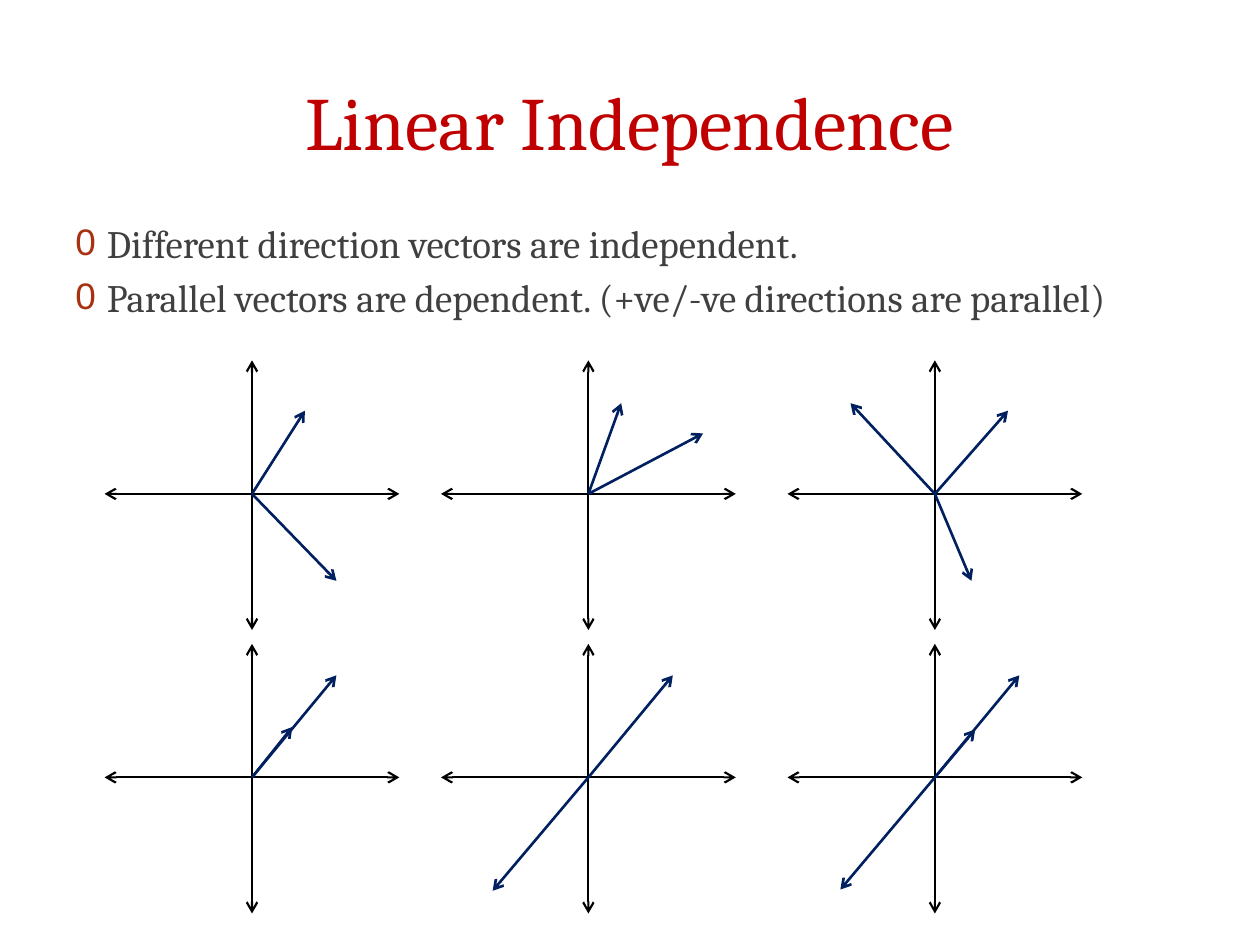
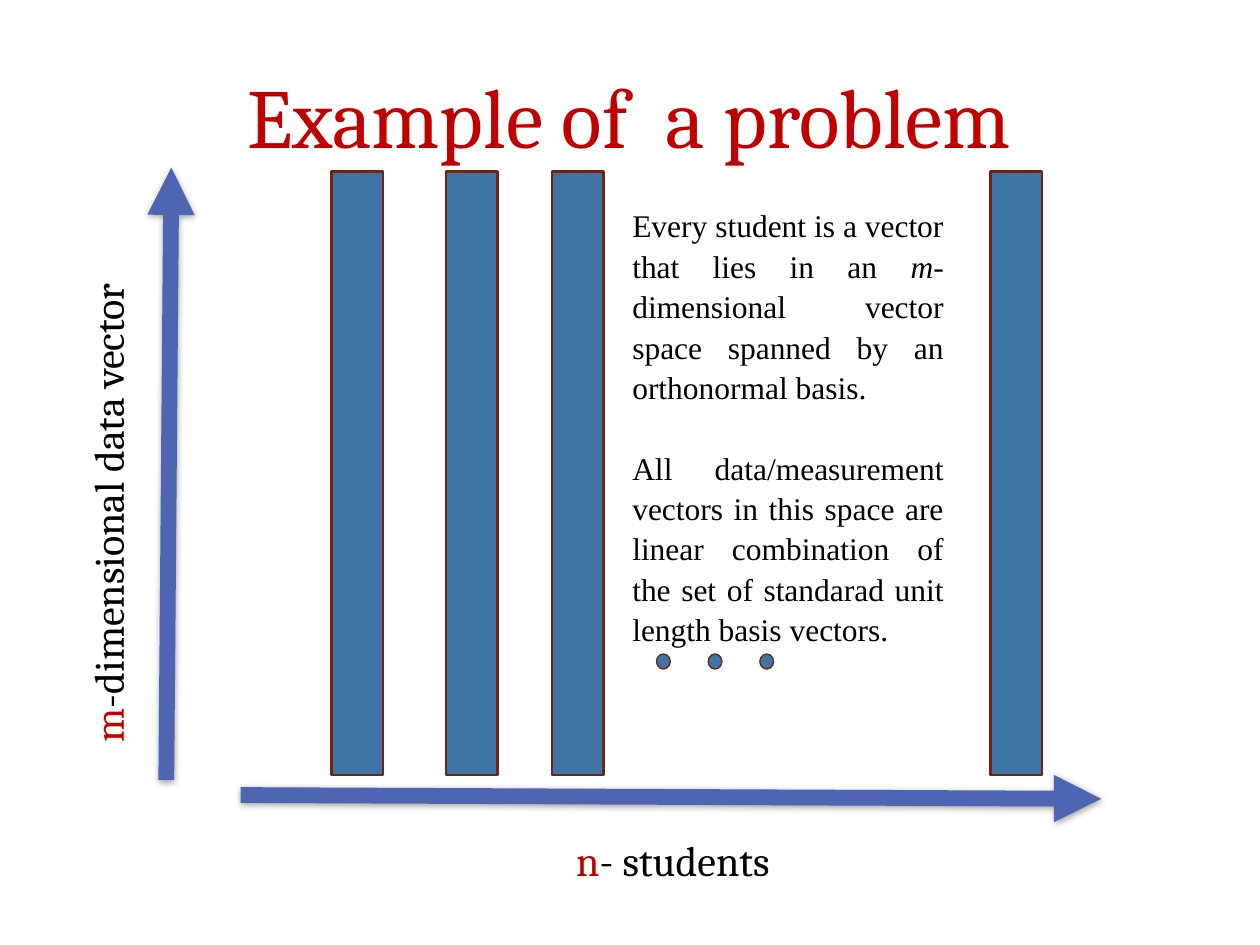
from pptx import Presentation
from pptx.dml.color import RGBColor
from pptx.enum.shapes import MSO_CONNECTOR, MSO_SHAPE
from pptx.enum.text import MSO_ANCHOR, PP_ALIGN
from pptx.oxml import parse_xml
from pptx.oxml.ns import nsdecls
from pptx.util import Inches, Pt

LINE = MSO_CONNECTOR.STRAIGHT
RECT, OVAL = MSO_SHAPE.RECTANGLE, MSO_SHAPE.OVAL
TOP, MID = MSO_ANCHOR.TOP, MSO_ANCHOR.MIDDLE
LEFT, CENTER, JUSTIFY = PP_ALIGN.LEFT, PP_ALIGN.CENTER, PP_ALIGN.JUSTIFY

RED = RGBColor(0xC0, 0x00, 0x00)
GREY = RGBColor(0x40, 0x40, 0x40)
BLACK = RGBColor(0x00, 0x00, 0x00)
NAVY = RGBColor(0x00, 0x20, 0x60)
BLUE = RGBColor(0x4E, 0x66, 0xB2)
STEEL = RGBColor(0x3F, 0x75, 0xA6)
RUST = RGBColor(0x75, 0x23, 0x0C)
BRICK = RGBColor(0xA6, 0x32, 0x12)

BODY = {"name": "Cambria", "size": Pt(22.2), "color": GREY}
LABEL = {"name": "Cambria", "size": Pt(24), "color": BLACK}
SYMBOL = {**LABEL, "color": RED}
NOTE = {"name": "Times New Roman", "size": Pt(18), "color": BLACK}
VAR = {**NOTE, "italic": True}
TIGHT = {"alignment": CENTER, "line_spacing": 1.07, "space_after": Pt(8)}
PROSE = {"alignment": JUSTIFY, "line_spacing": 1.07}


def assign(target, values):
    for key, value in values.items():
        if key == "color":
            target.color.rgb = value
        else:
            setattr(target, key, value)


class Deck:
    """Holds the shared style and draws elements on the current slide."""

    def __init__(self):
        self.prs = Presentation()
        self.prs.slide_width, self.prs.slide_height = Inches(10), Inches(7.5)
        self.slide = None

    def page(self, title, top, height, size):
        self.slide = self.prs.slides.add_slide(self.prs.slide_layouts[6])
        style = {"name": "Cambria", "size": Pt(size), "color": RED}
        self.text((0.6, top, 8.79, height), [([(title, style)], {"alignment": CENTER})])

    def text(self, box, paras, anchor=MID, vert=None, bullet=False):
        frame = self.slide.shapes.add_textbox(*map(Inches, box)).text_frame
        frame.word_wrap, frame.vertical_anchor = True, anchor
        if vert:
            frame._txBody.bodyPr.set("vert", vert)
        for i, (runs, form) in enumerate(paras):
            para = frame.add_paragraph() if i else frame.paragraphs[0]
            assign(para, form)
            if bullet:
                self.bullet(para)
            for words, style in runs:
                run = para.add_run()
                run.text = words
                assign(run.font, style)

    def bullet(self, para):
        props = para._p.get_or_add_pPr()
        props.set("marL", str(Inches(0.25)))
        props.set("indent", str(-Inches(0.25)))
        for part in (f'<a:buClr {nsdecls("a")}><a:srgbClr val="{BRICK}"/></a:buClr>',
                     f'<a:buSzPct {nsdecls("a")} val="95000"/>',
                     f'<a:buFont {nsdecls("a")} typeface="Arial"/>',
                     f'<a:buChar {nsdecls("a")} char="0"/>'):
            props.append(parse_xml(part))

    def arrow(self, start, end, color, width, tip="arrow", both=False, shade=False):
        line = self.slide.shapes.add_connector(LINE, *map(Inches, (*start, *end)))
        assign(line.line, {"color": color, "width": Pt(width)})
        props = line._element.spPr
        for tag in ("headEnd", "tailEnd") if both else ("tailEnd",):
            props.ln.append(parse_xml(f'<a:{tag} {nsdecls("a")} type="{tip}"/>'))
        glow = (f'<a:outerShdw blurRad="{Pt(4)}" dist="{Pt(1)}" dir="5400000" rotWithShape="0">'
                '<a:srgbClr val="000000"><a:alpha val="37000"/></a:srgbClr></a:outerShdw>')
        props.append(parse_xml(
            f'<a:effectLst {nsdecls("a")}>{glow if shade else ""}</a:effectLst>'))

    def shape(self, kind, box, width):
        item = self.slide.shapes.add_shape(kind, *map(Inches, box))
        item.shadow.inherit = False
        item.fill.solid()
        item.fill.fore_color.rgb = STEEL
        assign(item.line, {"color": RUST, "width": Pt(width)})

    def plot(self, x, y, tips):
        self.arrow((x - 1.17, y), (x + 1.17, y), BLACK, 1.25, both=True)
        self.arrow((x, y - 1.06), (x, y + 1.08), BLACK, 1.25, both=True)
        for dx, dy in tips:
            self.arrow((x, y), (x + dx, y + dy), NAVY, 1.5)


def vectors(deck):
    deck.page("Linear Independence", 0.41, 1.09, 43)
    points = ("Different direction vectors are independent.",
              "Parallel vectors are dependent. (+ve/-ve directions are parallel)")
    deck.text((0.5, 1.69, 9, 1.25),
              [([(words, BODY)], {"alignment": LEFT, "space_before": Pt(4.4 if i else 0)})
               for i, words in enumerate(points)], TOP, bullet=True)
    rows = {
        3.92: (((0.42, -0.66), (0.67, 0.69)),
               ((0.26, -0.72), (0.91, -0.48)),
               ((-0.67, -0.72), (0.58, -0.66), (0.29, 0.69))),
        6.17: (((0.32, -0.4), (0.67, -0.81)),
               ((0.67, -0.81), (-0.76, 0.9)),
               ((0.67, -0.81), (-0.75, 0.89), (0.32, -0.38))),
    }
    for y, plots in rows.items():
        for x, tips in zip((2, 4.67, 7.42), plots):
            deck.plot(x, y, tips)


def students(deck):
    deck.page("Example of  a problem", 0.48, 0.86, 48)
    for start, end in (((1.91, 6.31), (8.74, 6.34)), ((1.32, 6.19), (1.36, 1.33))):
        deck.arrow(start, end, BLUE, 9, "triangle", shade=True)
    for left in (2.63, 3.54, 4.38, 7.86):
        deck.shape(RECT, (left, 1.36, 0.41, 4.79), 1.5)
    space = [("Every student is a vector that lies in an ", NOTE), ("m", VAR),
             ("-dimensional vector space spanned by an orthonormal basis.", NOTE)]
    basis = [("All data/measurement vectors in this space are linear combination of "
              "the set of standarad unit length basis vectors.", NOTE)]
    deck.text((4.92, 1.58, 2.67, 3.6),
              [(space, PROSE), (basis, {**PROSE, "space_before": Pt(23)})])
    for i in range(3):
        deck.shape(OVAL, (5.21 + 0.41 * i, 5.19, 0.11, 0.12), 0.75)
    deck.text((3.09, 6.52, 4.5, 0.58),
              [([("n", SYMBOL), ("- students", LABEL)], TIGHT)])
    deck.text((0.54, 1.94, 0.59, 4.26),
              [([("m", SYMBOL), ("-dimensional data vector", LABEL)], TIGHT)], vert="vert270")


def main():
    deck = Deck()
    vectors(deck)
    students(deck)
    deck.prs.save("out.pptx")


if __name__ == "__main__":
    main()
